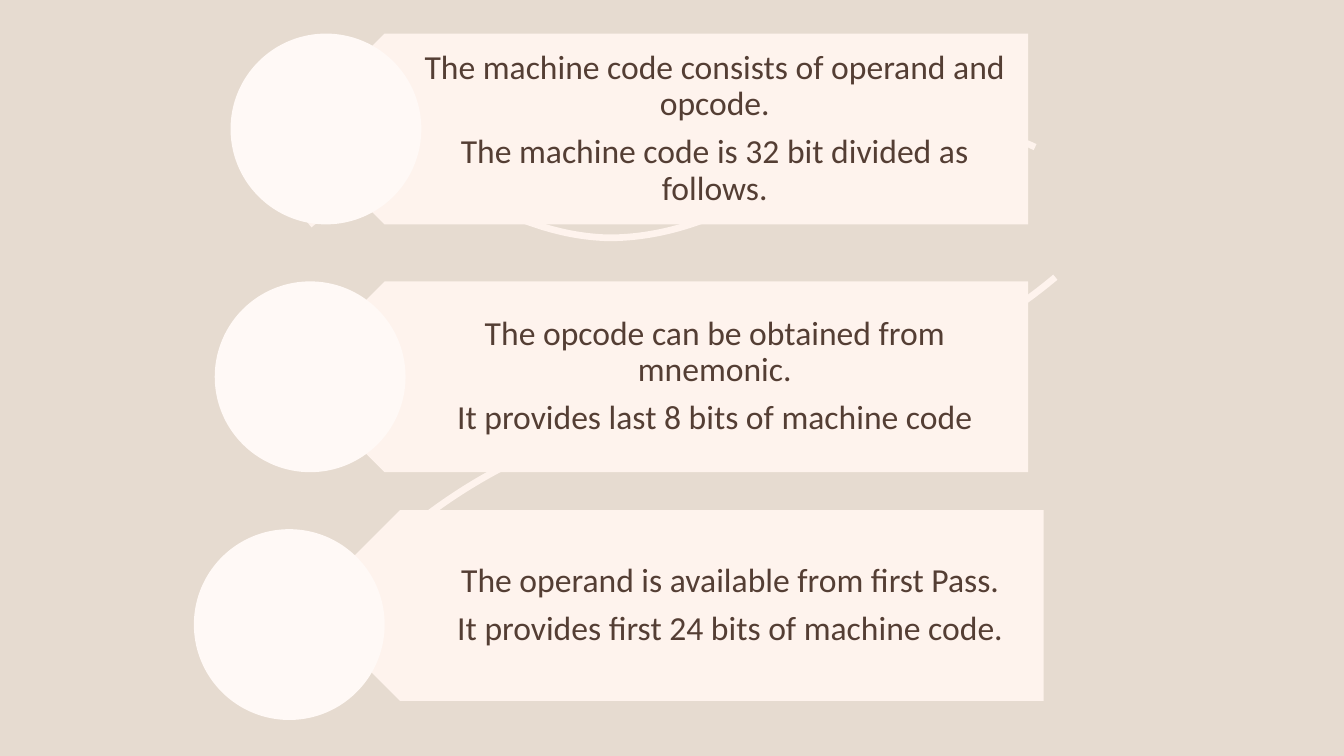
from lxml import etree
from pptx import Presentation
from pptx.dml.color import RGBColor
from pptx.enum.shapes import MSO_SHAPE
from pptx.enum.text import MSO_ANCHOR, PP_ALIGN
from pptx.oxml.ns import qn
from pptx.util import Pt

PENTAGON = MSO_SHAPE.PENTAGON
OVAL = MSO_SHAPE.OVAL
MIDDLE = MSO_ANCHOR.MIDDLE
CENTER = PP_ALIGN.CENTER

SAND = RGBColor(0xE6, 0xDB, 0xD0)
BLUSH = RGBColor(0xFE, 0xF3, 0xED)
CREAM = RGBColor(0xFF, 0xF9, 0xF6)
BROWN = RGBColor(0x54, 0x3E, 0x34)

BAND_HEIGHT = 136.3
BAND_WIDTH = 527.8
TEXT_OFFSET = 34
TEXT_WIDTH = BAND_WIDTH - TEXT_OFFSET

# Each curve: a start point, then three Bezier points per segment
CURVES = [
    [(599.8, 275.8), (657.4, 261.4), (709.2, 235.4), (753.8, 198)],
    [(420.5, 308.2), (366.5, 325.4), (320.4, 352.8), (280.1, 388.1)],
    [(221, 160.6), (252, 134.6), (286.6, 127.4), (323.3, 136.8),
     (335.5, 139.7), (346.3, 144.7), (357.8, 150.5),
     (381.6, 161.3), (406.8, 169.2), (434.9, 169.9),
     (458.6, 169.9), (482.4, 164.9), (504.7, 156.2),
     (530.6, 146.2), (545, 139), (560.2, 131.8),
     (576.7, 123.1), (676.8, 74.2), (739.4, 105.1)],
]

# Band left, band top, circle left, circle top, sentences
ROWS = [
    (206.6, 24, 164.7, 24,
     ["The machine code consists of operand and opcode.",
      "The machine code is 32 bit divided as follows."]),
    (206.6, 201, 153.4, 201,
     ["The opcode can be obtained from mnemonic.",
      "It provides last 8 bits of machine code"]),
    (217.6, 364.3, 138.5, 378,
     ["The operand is available from first Pass.",
      "It provides first 24 bits of machine code."]),
]


def add_curve(page, points, color, weight):
    """Draw an open Bezier curve through groups of three points."""
    start, *rest = [(Pt(x), Pt(y)) for x, y in points]
    builder = page.shapes.build_freeform(*start)
    builder.add_line_segments(rest, close=False)
    curve = builder.convert_to_shape()
    curve.shadow.inherit = False
    curve.fill.background()
    curve.line.color.rgb = color
    curve.line.width = Pt(weight)

    # Turn every three straight steps into one cubic segment
    outline = next(curve.element.iter(qn("a:path")))
    steps = outline.findall(qn("a:lnTo"))
    for first in range(0, len(steps), 3):
        bezier = etree.SubElement(outline, qn("a:cubicBezTo"))
        for step in steps[first:first + 3]:
            bezier.append(step[0])
            outline.remove(step)


def add_plain_shape(page, kind, left, top, width, height, color, rotation=0):
    shape = page.shapes.add_shape(kind, Pt(left), Pt(top), Pt(width), Pt(height))
    shape.shadow.inherit = False
    shape.fill.solid()
    shape.fill.fore_color.rgb = color
    shape.line.fill.background()
    shape.rotation = rotation


def write_text(para, text, *, font, size, color, align, line_spacing, space_after):
    para.alignment = align
    para.line_spacing = line_spacing
    para.space_after = Pt(space_after)
    span = para.add_run()
    span.text = text
    span.font.name = font
    span.font.size = Pt(size)
    span.font.color.rgb = color


def add_sentences(page, left, top, sentences):
    box = page.shapes.add_textbox(Pt(left), Pt(top), Pt(TEXT_WIDTH), Pt(BAND_HEIGHT))
    frame = box.text_frame
    frame.word_wrap = True
    frame.vertical_anchor = MIDDLE
    frame.margin_left, frame.margin_right = Pt(59.8), Pt(13.7)
    frame.margin_top = frame.margin_bottom = Pt(7.2)
    for index, sentence in enumerate(sentences):
        para = frame.add_paragraph() if index else frame.paragraphs[0]
        write_text(para, sentence, font="Calibri", size=24, color=BROWN,
                   align=CENTER, line_spacing=0.9, space_after=8.4)


def add_row(page, left, top, circle_left, circle_top, sentences):
    add_plain_shape(page, PENTAGON, left, top, BAND_WIDTH, BAND_HEIGHT, BLUSH,
                    rotation=180)
    add_sentences(page, left + TEXT_OFFSET, top, sentences)
    add_plain_shape(page, OVAL, circle_left, circle_top, BAND_HEIGHT, BAND_HEIGHT,
                    CREAM)


def main():
    deck = Presentation()
    deck.slide_width, deck.slide_height = Pt(960), Pt(540)
    page = deck.slides.add_slide(deck.slide_layouts[6])
    page.background.fill.solid()
    page.background.fill.fore_color.rgb = SAND

    # Decorative curves behind the bands
    for points in CURVES:
        add_curve(page, points, BLUSH, 4.75)

    # Bands with their circles
    for row in ROWS:
        add_row(page, *row)

    deck.save("out.pptx")


main()
